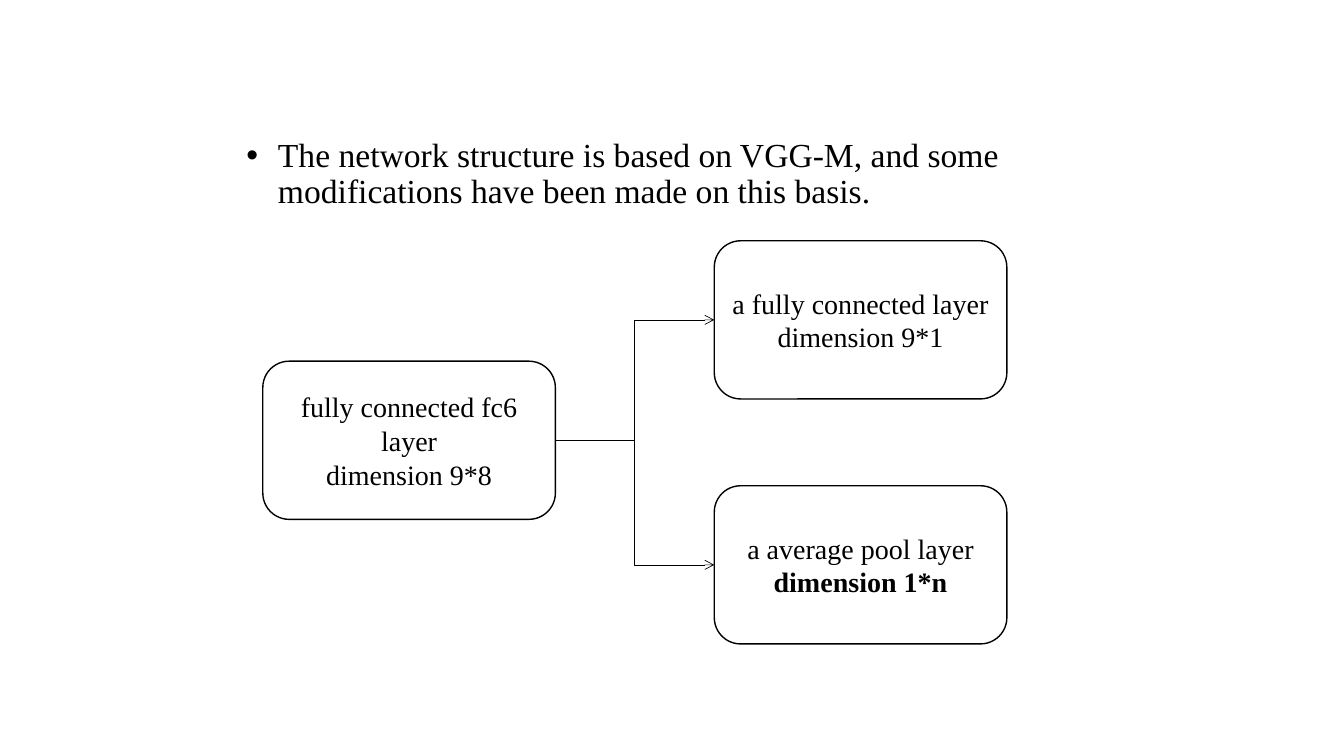
from lxml import etree
from pptx import Presentation
from pptx.dml.color import RGBColor
from pptx.enum.shapes import MSO_CONNECTOR, MSO_SHAPE
from pptx.enum.text import MSO_ANCHOR, PP_ALIGN
from pptx.oxml.ns import qn
from pptx.util import Pt

FONT = "Times New Roman"
BLACK = "000000"
WHITE = "FFFFFF"
LEFT_SITE, RIGHT_SITE = 1, 3


def color(hex_string):
    return RGBColor.from_string(hex_string)


def add_text(paragraph, text, size, bold=False):
    run = paragraph.add_run()
    run.text = text
    run.font.name = FONT
    run.font.size = Pt(size)
    run.font.bold = bold
    run.font.color.rgb = color(BLACK)


def add_bullet(slide, left, top, width, height, text):
    box = slide.shapes.add_textbox(Pt(left), Pt(top), Pt(width), Pt(height))
    box.text_frame.word_wrap = True
    paragraph = box.text_frame.paragraphs[0]
    paragraph.line_spacing = 0.9
    add_text(paragraph, text, 24)
    properties = paragraph._p.get_or_add_pPr()
    indent = Pt(22.5)
    properties.set("marL", str(indent))
    properties.set("indent", str(-indent))
    etree.SubElement(properties, qn("a:buFont"), typeface="Arial")
    etree.SubElement(properties, qn("a:buChar"), char="•")


def add_layer(slide, left, top, width, height, name, dimension, bold=False):
    layer = slide.shapes.add_shape(
        MSO_SHAPE.ROUNDED_RECTANGLE, Pt(left), Pt(top), Pt(width), Pt(height))
    layer.shadow.inherit = False
    layer.fill.solid()
    layer.fill.fore_color.rgb = color(WHITE)
    layer.line.color.rgb = color(BLACK)
    layer.line.width = Pt(1)
    frame = layer.text_frame
    frame.word_wrap = True
    frame.vertical_anchor = MSO_ANCHOR.MIDDLE
    lines = [(frame.paragraphs[0], name, False),
             (frame.add_paragraph(), dimension, bold)]
    for paragraph, text, is_bold in lines:
        paragraph.alignment = PP_ALIGN.CENTER
        add_text(paragraph, text, 20, is_bold)
    return layer


def connect_layers(slide, source, target):
    arrow = slide.shapes.add_connector(MSO_CONNECTOR.ELBOW, 0, 0, 0, 0)
    arrow.begin_connect(source, RIGHT_SITE)
    arrow.end_connect(target, LEFT_SITE)
    arrow.line.color.rgb = color(BLACK)
    arrow.line.width = Pt(0.5)
    etree.SubElement(arrow.line._get_or_add_ln(), qn("a:tailEnd"), type="arrow")
    etree.SubElement(arrow._element.spPr, qn("a:effectLst"))


def add_network(slide, left, top, width, height):
    layer_width, layer_height = 209, 113
    right = left + width - layer_width
    bottom = top + height - layer_height
    source = add_layer(slide, left, top + 86, layer_width, layer_height,
                       "fully connected fc6 layer", "dimension 9*8")
    branches = [
        (top, "a fully connected layer", "dimension 9*1", False),
        (bottom, "a average pool layer", "dimension 1*n", True),
    ]
    for branch_top, name, dimension, bold in branches:
        target = add_layer(slide, right, branch_top, layer_width, layer_height,
                           name, dimension, bold)
        connect_layers(slide, source, target)


presentation = Presentation()
presentation.slide_width = Pt(960)
presentation.slide_height = Pt(540)
slide = presentation.slides.add_slide(presentation.slide_layouts[6])
add_bullet(slide, 169, 95.5, 621, 57,
           "The network structure is based on VGG-M, "
           "and some modifications have been made on this basis.")
add_network(slide, 187.7, 172, 531.5, 288)
presentation.save("out.pptx")
